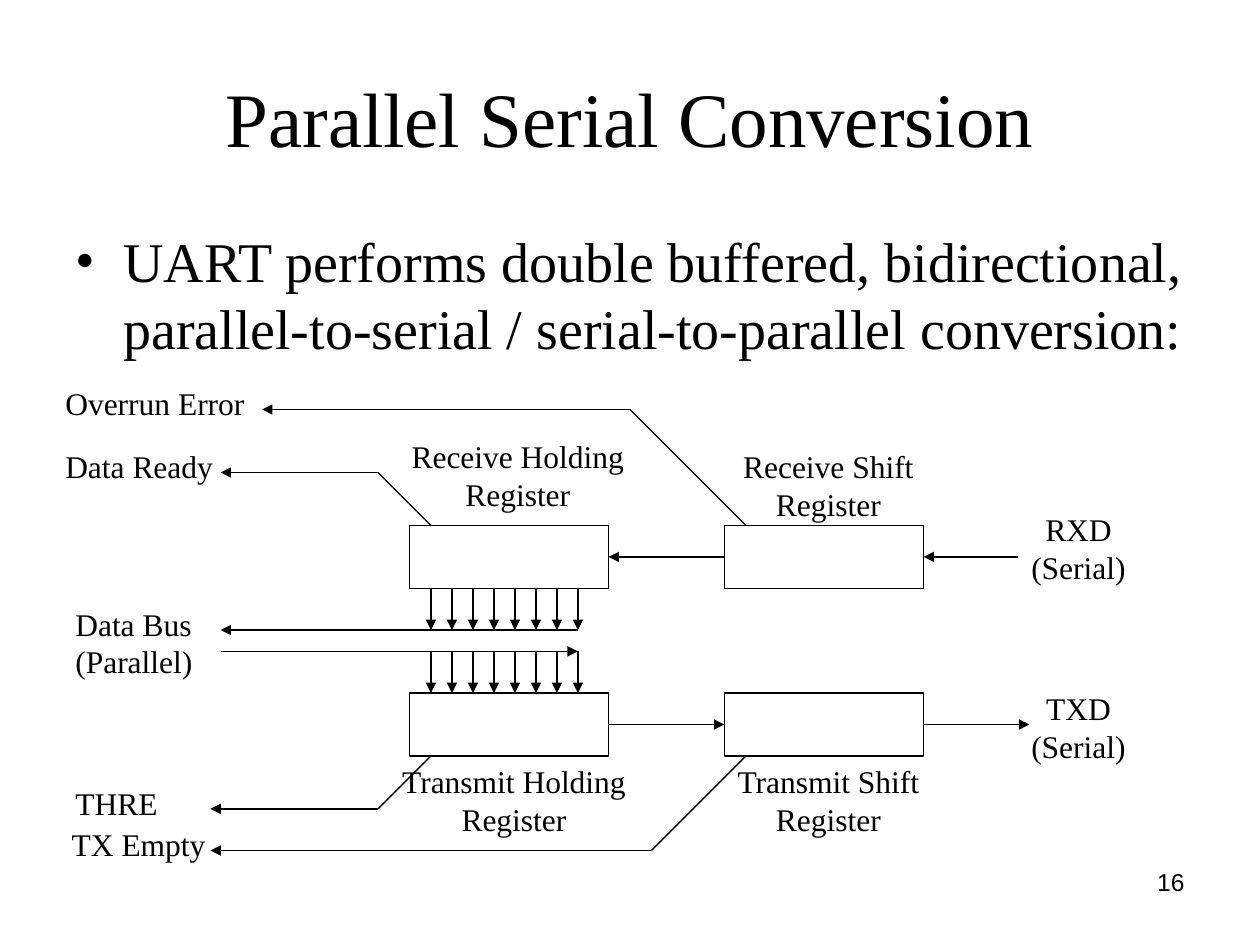
from lxml import etree
from pptx import Presentation
from pptx.dml.color import RGBColor
from pptx.enum.shapes import MSO_CONNECTOR, MSO_SHAPE
from pptx.enum.text import MSO_ANCHOR, MSO_AUTO_SIZE, PP_ALIGN
from pptx.oxml.ns import qn
from pptx.util import Inches, Pt

LEFT, CENTER, RIGHT = PP_ALIGN.LEFT, PP_ALIGN.CENTER, PP_ALIGN.RIGHT
TOP, MIDDLE = MSO_ANCHOR.TOP, MSO_ANCHOR.MIDDLE
FIXED_SIZE, GROW = MSO_AUTO_SIZE.NONE, MSO_AUTO_SIZE.SHAPE_TO_FIT_TEXT
RECTANGLE, STRAIGHT = MSO_SHAPE.RECTANGLE, MSO_CONNECTOR.STRAIGHT

THEME = {
    "ink": RGBColor(0, 0, 0),
    "line": Pt(0.75),
    "title": {"name": "Times New Roman", "size": Pt(44)},
    "body": {"name": "Times New Roman", "size": Pt(32)},
    "label": {"name": "Times New Roman", "size": Pt(18)},
    "number": {"name": "Arial", "size": Pt(14)},
}

TITLE = "Parallel Serial Conversion"
BODY = ("UART performs double buffered, bidirectional, "
        "parallel-to-serial / serial-to-parallel conversion:")
PAGE_NUMBER = "16"

# Diagram geometry, in inches
HOLDING_X, SHIFT_X = 3.25, 5.75
RECEIVE_Y, TRANSMIT_Y = 4.17, 5.5
REGISTER_W, REGISTER_H = 1.58, 0.5
HOLDING_END, SHIFT_END = HOLDING_X + REGISTER_W, SHIFT_X + REGISTER_W
RECEIVE_MID, TRANSMIT_MID = RECEIVE_Y + REGISTER_H / 2, TRANSMIT_Y + REGISTER_H / 2
RECEIVE_BOTTOM, TRANSMIT_BOTTOM = RECEIVE_Y + REGISTER_H, TRANSMIT_Y + REGISTER_H
BUS_LEFT, BUS_IN_Y, BUS_OUT_Y = 1.75, 5, 5.17
BIT_COUNT, FIRST_BIT_X, BIT_GAP = 8, 3.42, 1 / 6
STATUS_INSET = 0.17
LINE_HEIGHT, LABEL_PADDING = 0.3, 0.1

REGISTERS = [(x, y) for y in (TRANSMIT_Y, RECEIVE_Y) for x in (HOLDING_X, SHIFT_X)]

# Lines of text, left, top, width, alignment
LABELS = [
    (["Overrun Error"], 0.42, 3, 1.65, LEFT),
    (["Data Ready"], 0.42, 3.5, 1.4, LEFT),
    (["Receive Holding", "Register"], 3.14, 3.42, 1.94, CENTER),
    (["Receive Shift", "Register"], 5.77, 3.5, 1.61, CENTER),
    (["RXD", "(Serial)"], 8.06, 4, 1, CENTER),
    (["Data Bus", "(Parallel)"], 0.5, 4.75, 1.17, LEFT),
    (["TXD", "(Serial)"], 8.06, 5.42, 1, CENTER),
    (["Transmit Holding", "Register"], 3.06, 6, 2.04, CENTER),
    (["Transmit Shift", "Register"], 5.72, 6, 1.71, CENTER),
    (["THRE"], 0.5, 6.17, 0.88, LEFT),
    (["TX Empty"], 0.44, 6.5, 1.32, CENTER),
]

# Horizontal arrows: start x, end x, y
SERIAL_ARROWS = [
    (8.08, SHIFT_END, RECEIVE_MID),
    (SHIFT_X, HOLDING_END, RECEIVE_MID),
    (HOLDING_END, SHIFT_X, TRANSMIT_MID),
    (SHIFT_END, 8.17, TRANSMIT_MID),
]

# Status signals: register x, register edge y, bend x, signal y, arrow tip x
STATUS_SIGNALS = [
    (SHIFT_X, RECEIVE_Y, 5, 3.25, 2.08),
    (HOLDING_X, RECEIVE_Y, 3, 3.75, 1.75),
    (HOLDING_X, TRANSMIT_BOTTOM, 3, 6.42, 1.67),
    (SHIFT_X, TRANSMIT_BOTTOM, 5.17, 6.75, 1.67),
]


def add_text(slide, lines, box, style, align=LEFT, anchor=TOP, wrap=True):
    frame = slide.shapes.add_textbox(*map(Inches, box)).text_frame
    frame.word_wrap, frame.vertical_anchor = wrap, anchor
    frame.auto_size = FIXED_SIZE if wrap else GROW
    for index, line in enumerate(lines):
        paragraph = frame.add_paragraph() if index else frame.paragraphs[0]
        paragraph.alignment = align
        run = paragraph.add_run()
        run.text = line
        for attribute, value in THEME[style].items():
            setattr(run.font, attribute, value)
        run.font.color.rgb = THEME["ink"]
    return frame


def add_bullet(paragraph, indent):
    properties = paragraph._p.get_or_add_pPr()
    properties.set("marL", str(Inches(indent)))
    properties.set("indent", str(-Inches(indent)))
    typeface = THEME["body"]["name"]
    etree.SubElement(properties, qn("a:buFont")).set("typeface", typeface)
    etree.SubElement(properties, qn("a:buChar")).set("char", "•")


def add_line(slide, start, end, arrow=True):
    connector = slide.shapes.add_connector(STRAIGHT, *map(Inches, (*start, *end)))
    connector.line.color.rgb = THEME["ink"]
    connector.line.width = THEME["line"]
    if arrow:
        outline = connector.line._get_or_add_ln()
        etree.SubElement(outline, qn("a:tailEnd")).set("type", "triangle")
    etree.SubElement(connector._element.spPr, qn("a:effectLst"))


def add_register(slide, x, y):
    register = slide.shapes.add_shape(
        RECTANGLE, *map(Inches, (x, y, REGISTER_W, REGISTER_H)))
    register.shadow.inherit = False
    register.fill.background()
    register.line.color.rgb = THEME["ink"]
    register.line.width = THEME["line"]


def add_data_bus(slide):
    """Draw the two bus lines and one arrow per bit from or to each register."""
    bits = [FIRST_BIT_X + i * BIT_GAP for i in range(BIT_COUNT)]
    for x in bits:
        add_line(slide, (x, RECEIVE_BOTTOM), (x, BUS_IN_Y))
        add_line(slide, (x, BUS_OUT_Y), (x, TRANSMIT_Y))
    add_line(slide, (bits[-1], BUS_IN_Y), (BUS_LEFT, BUS_IN_Y))
    add_line(slide, (BUS_LEFT, BUS_OUT_Y), (bits[-1], BUS_OUT_Y))


def main():
    presentation = Presentation()
    presentation.slide_width, presentation.slide_height = Inches(10), Inches(7.5)
    slide = presentation.slides.add_slide(presentation.slide_layouts[6])

    add_text(slide, [TITLE], (0.5, 0.3, 9, 1.25), "title", CENTER, MIDDLE)
    body = add_text(slide, [BODY], (0.5, 1.75, 9.17, 1.2), "body")
    add_bullet(body.paragraphs[0], 0.38)
    add_text(slide, [PAGE_NUMBER], (7.17, 6.83, 2.33, 0.52), "number", RIGHT)

    for x, y in REGISTERS:
        add_register(slide, x, y)
    add_data_bus(slide)
    for start_x, end_x, y in SERIAL_ARROWS:
        add_line(slide, (start_x, y), (end_x, y))
    for register_x, edge_y, bend_x, y, tip_x in STATUS_SIGNALS:
        add_line(slide, (register_x + STATUS_INSET, edge_y), (bend_x, y), arrow=False)
        add_line(slide, (bend_x, y), (tip_x, y))
    for lines, x, y, width, align in LABELS:
        height = LABEL_PADDING + LINE_HEIGHT * len(lines)
        add_text(slide, lines, (x, y, width, height), "label", align, wrap=False)

    presentation.save("out.pptx")


if __name__ == "__main__":
    main()
